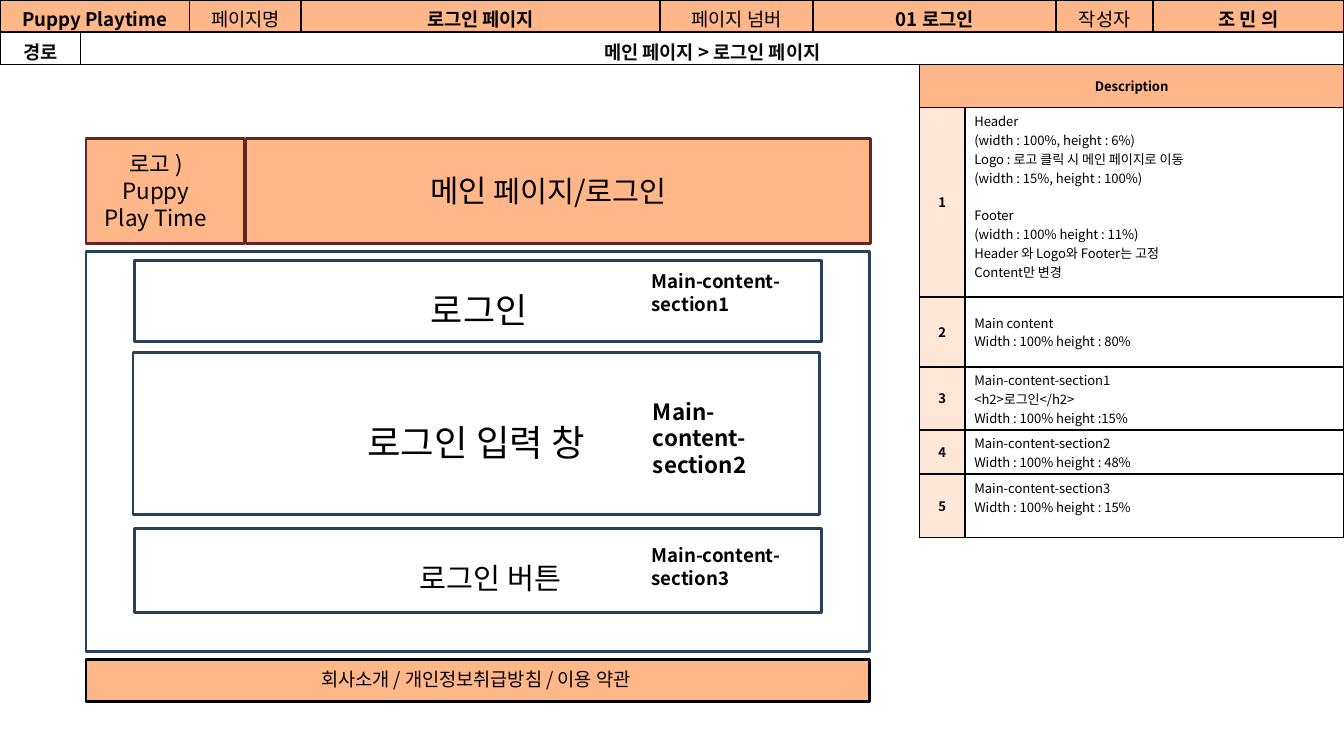
from dataclasses import dataclass

import pptx
import pptx.dml.color
import pptx.enum.shapes
import pptx.enum.text
import pptx.oxml
import pptx.oxml.ns
import pptx.util
from lxml import etree

Inches = pptx.util.Inches
Pt = pptx.util.Pt
RGBColor = pptx.dml.color.RGBColor
PP_ALIGN = pptx.enum.text.PP_ALIGN
MSO_ANCHOR = pptx.enum.text.MSO_ANCHOR
qn = pptx.oxml.ns.qn

FONT = "Noto Sans CJK KR"
PEACH = RGBColor(0xFF, 0xB6, 0x89)
PALE_PEACH = RGBColor(0xFF, 0xE7, 0xD8)
WHITE = RGBColor(0xFF, 0xFF, 0xFF)
BLACK = RGBColor(0, 0, 0)
NEAR_BLACK = RGBColor(0x0C, 0x0C, 0x0C)
BROWN = RGBColor(0x5F, 0x28, 0x26)
NAVY = RGBColor(0x27, 0x40, 0x5E)
BLANK_LINE = 0.14  # height of one line of description text, in inches


@dataclass
class Frame:
    x: float
    y: float
    w: float
    h: float
    fill: RGBColor
    line: RGBColor


@dataclass
class Label:
    x: float
    y: float
    w: float
    h: float
    fill: RGBColor
    size: float
    lines: list[str]
    bold: bool = False
    align: PP_ALIGN = PP_ALIGN.CENTER
    tail: str = ""
    tail_size: float = 0


@dataclass
class Note:
    height: float
    lines: list[str]
    blank_after: int = 0


FRAMES = [
    Frame(0.64, 1.03, 1.18, 0.78, PEACH, BROWN),
    Frame(1.83, 1.03, 4.65, 0.78, PEACH, BROWN),
    Frame(0.64, 4.91, 5.83, 0.31, PEACH, BLACK),
    Frame(0.64, 1.87, 5.83, 2.98, WHITE, NAVY),
    Frame(1, 1.94, 5.11, 0.6, WHITE, NAVY),
    Frame(0.99, 2.62, 5.11, 1.21, WHITE, NAVY),
    Frame(1, 3.93, 5.11, 0.63, WHITE, NAVY),
]

LABELS = [
    Label(0.67, 1.07, 0.98, 0.71, PEACH, 12, ["로고 )", "Puppy Play Time"]),
    Label(2.19, 1.23, 3.78, 0.38, PEACH, 16.5, ["메인"],
          tail=" 페이지/로그인", tail_size=15.7),
    Label(1.11, 4.92, 4.86, 0.27, PEACH, 10, ["회사소개 / 개인정보취급방침 / 이용 약관"]),
    Label(2.17, 2.1, 2.79, 0.42, WHITE, 18.7, ["로그인"]),
    Label(1.61, 3.08, 3.87, 0.43, WHITE, 19.5, ["로그인 입력 창"]),
    Label(2.11, 4.12, 3.08, 0.35, WHITE, 15.7, ["로그인 버튼"]),
    Label(4.75, 1.96, 1.31, 0.44, WHITE, 10, ["Main-content-section1"], True, PP_ALIGN.LEFT),
    Label(4.76, 2.91, 1.31, 0.71, WHITE, 12, ["Main-content-section2"], True, PP_ALIGN.LEFT),
    Label(4.75, 4, 1.33, 0.44, WHITE, 10, ["Main-content-section3"], True, PP_ALIGN.LEFT),
]

NOTES = [
    Note(1.41, ["Header", "(width : 100%, height : 6%)",
                "Logo : 로고 클릭 시 메인 페이지로 이동", "(width : 15%, height : 100%)",
                "Footer", "(width : 100% height : 11%)",
                "Header 와 Logo와 Footer는 고정", "Content만 변경"], 1),
    Note(0.52, ["Main content", "Width : 100% height : 80%"]),
    Note(0.47, ["Main-content-section1", "<h2>로그인</h2>", "Width : 100% height :15%"]),
    Note(0.33, ["Main-content-section2", "Width : 100% height : 48%"]),
    Note(0.47, ["Main-content-section3", "Width : 100% height : 15%"], 1),
]

PAGE_COLS = [0.6, 0.81, 0.83, 2.67, 1.14, 1.81, 0.72, 1.42]
PAGE_INFO = [
    (0, "Puppy Playtime", True), (2, "페이지명", False), (3, "로그인 페이지", True),
    (4, "페이지 넘버", False), (5, "01 로그인", True), (6, "작성자", False),
    (7, "조 민 의", True),
]


def add_run(p, text: str, size: float, bold: bool, color: RGBColor) -> None:
    r = p.add_run()
    r.text = text
    r.font.size = Pt(size)
    r.font.bold = bold
    r.font.name = FONT
    r.font.color.rgb = color
    etree.SubElement(r.font._element, qn("a:ea")).set("typeface", FONT)


def write(tf, lines: list[str], size: float, bold: bool = False,
          align: PP_ALIGN = PP_ALIGN.CENTER, color: RGBColor = BLACK) -> None:
    """Put one paragraph per line into a text frame."""
    for i, text in enumerate(lines):
        p = tf.paragraphs[0] if i == 0 else tf.add_paragraph()
        p.alignment = align
        add_run(p, text, size, bold, color)


def add_box(s, box: Frame | Label):
    sp = s.shapes.add_shape(pptx.enum.shapes.MSO_SHAPE.RECTANGLE, Inches(box.x),
                            Inches(box.y), Inches(box.w), Inches(box.h))
    sp.shadow.inherit = False
    paint(sp, box.fill)
    return sp


def add_frame(s, frame: Frame) -> None:
    sp = add_box(s, frame)
    sp.line.color.rgb = frame.line
    sp.line.width = Pt(1.5)


def add_label(s, label: Label) -> None:
    sp = add_box(s, label)
    sp.line.fill.background()
    tf = sp.text_frame
    tf.word_wrap = True
    tf.auto_size = pptx.enum.text.MSO_AUTO_SIZE.SHAPE_TO_FIT_TEXT
    tf.vertical_anchor = MSO_ANCHOR.TOP
    write(tf, label.lines, label.size, label.bold, label.align)
    if label.tail:
        add_run(tf.paragraphs[-1], label.tail, label.tail_size, label.bold, BLACK)


def add_grid(s, x: float, y: float, cols: list[float], rows: list[float],
             inset_x: float, inset_top: float):
    """Add a white table with thin black borders."""
    table = s.shapes.add_table(len(rows), len(cols), Inches(x), Inches(y),
                               Inches(sum(cols)), Inches(sum(rows))).table
    table.first_row = table.horz_banding = False
    for col, width in zip(table.columns, cols):
        col.width = Inches(width)
    for row, height in zip(table.rows, rows):
        row.height = Inches(height)
    for cell in table.iter_cells():
        cell.margin_left = cell.margin_right = Inches(inset_x)
        cell.margin_top, cell.margin_bottom = Inches(inset_top), Inches(0.03)
        cell.vertical_anchor = MSO_ANCHOR.MIDDLE
        paint(cell, WHITE)
        for i, side in enumerate(("lnL", "lnR", "lnT", "lnB")):
            cell._tc.tcPr.insert(i, pptx.oxml.parse_xml(
                f'<a:{side} {pptx.oxml.ns.nsdecls("a")} w="{Pt(1)}"><a:solidFill>'
                f'<a:srgbClr val="{BLACK}"/></a:solidFill></a:{side}>'))
    return table


def paint(target, color: RGBColor) -> None:
    target.fill.solid()
    target.fill.fore_color.rgb = color


def add_description(s) -> None:
    heights = [0.32] + [note.height for note in NOTES]
    table = add_grid(s, 6.84, 0.48, [0.34, 2.82], heights, 0.07, 0.03)
    title = table.cell(0, 0)
    title.merge(table.cell(0, 1))
    paint(title, PEACH)
    write(title.text_frame, ["Description"], 7, True)
    for i, note in enumerate(NOTES, 1):
        number, body = table.cell(i, 0), table.cell(i, 1)
        paint(number, PALE_PEACH)
        write(number.text_frame, [str(i)], 7, True)
        write(body.text_frame, note.lines, 7, align=PP_ALIGN.LEFT)
        body.margin_bottom = Inches(0.03 + note.blank_after * BLANK_LINE)
        for p in body.text_frame.paragraphs:
            if p.text == "Footer":
                p.space_before = Inches(BLANK_LINE)


def add_page_info(s) -> None:
    table = add_grid(s, 0, 0, PAGE_COLS, [0.24, 0.24], 0.09, 0.04)
    table.cell(0, 0).merge(table.cell(0, 1))
    table.cell(1, 1).merge(table.cell(1, 7))
    for col, text, bold in PAGE_INFO:
        cell = table.cell(0, col)
        cell.vertical_anchor = MSO_ANCHOR.TOP
        paint(cell, PEACH)
        write(cell.text_frame, [text], 10, bold)
    for col, text in enumerate(["경로", "메인 페이지 > 로그인 페이지"]):
        write(table.cell(1, col).text_frame, [text], 10, True, color=NEAR_BLACK)


def main() -> None:
    prs = pptx.Presentation()
    prs.slide_width, prs.slide_height = Inches(10), Inches(10 * 9 / 16)
    s = prs.slides.add_slide(prs.slide_layouts[6])
    for frame in FRAMES:
        add_frame(s, frame)
    for label in LABELS:
        add_label(s, label)
    add_description(s)
    add_page_info(s)
    prs.save("out.pptx")


if __name__ == "__main__":
    main()
